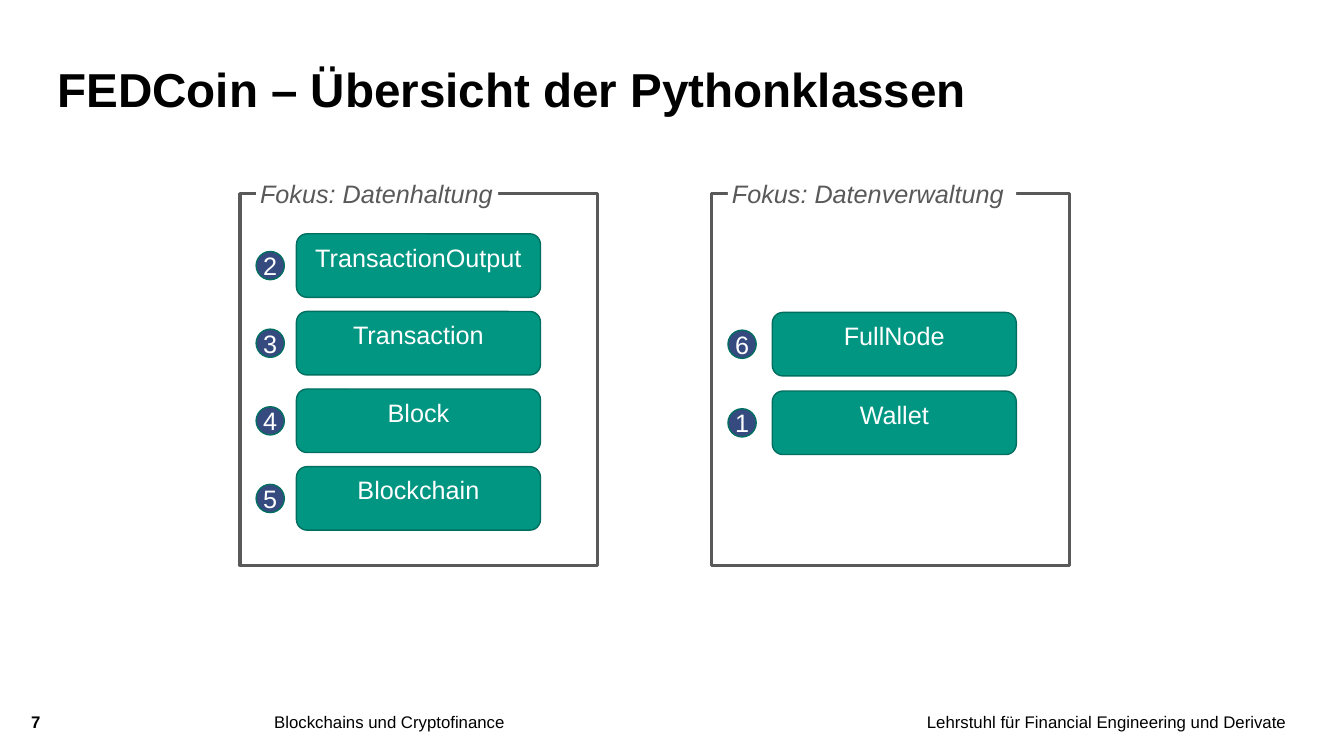
from pptx import Presentation
from pptx.dml.color import RGBColor as Rgb
from pptx.enum.shapes import MSO_SHAPE as Shape
from pptx.enum.text import MSO_ANCHOR as Anchor, MSO_AUTO_SIZE as Fit, PP_ALIGN as Align
from pptx.util import Inches, Pt

HUES = {
    "black": "000000", "white": "FFFFFF", "gray": "595959",
    "green": "009682", "edge": "006F60", "blue": "354B7F",
}
FRAME_W, FRAME_H, FRAME_TOP = 3.55, 3.69, 1.92
BOX_W, BOX_H = 2.42, 0.63
DOT = 0.28
INSET = 0.16  # from the frame's left side to its label and badges
FOOT_TOP, FOOT_H = 7.06, 0.4


def hue(name):
    return Rgb.from_string(HUES[name])


def write(shape, text, size=18, color="black", bold=False, italic=False,
          align=Align.LEFT, anchor=Anchor.TOP, pad=(0, 0), wrap=True, lead=None):
    """Put one formatted paragraph into a shape; pad is (sides, top and bottom)."""
    frame = shape.text_frame
    frame.auto_size = Fit.NONE
    frame.word_wrap = wrap
    frame.vertical_anchor = anchor
    frame.margin_left = frame.margin_right = Inches(pad[0])
    frame.margin_top = frame.margin_bottom = Inches(pad[1])
    para = frame.paragraphs[0]
    para.alignment = align
    if lead:
        para.line_spacing = lead
    run = para.add_run()
    run.text = text
    font = run.font
    font.name, font.size = "Arial", Pt(size)
    font.bold, font.italic = bold, italic
    font.color.rgb = hue(color)


def draw(slide, kind, left, top, width, height, fill=None, line=None, weight=1):
    """Add a flat preset shape."""
    shape = slide.shapes.add_shape(
        kind, Inches(left), Inches(top), Inches(width), Inches(height))
    shape.shadow.inherit = False
    if fill:
        shape.fill.solid()
        shape.fill.fore_color.rgb = hue(fill)
    else:
        shape.fill.background()
    if line:
        shape.line.color.rgb = hue(line)
        shape.line.width = Pt(weight)
    else:
        shape.line.fill.background()
    return shape


def group(slide, left, label, label_w, box_left, first, pitch, items):
    """Framed column of numbered classes with a label set into the top line."""
    draw(slide, Shape.RECTANGLE, left, FRAME_TOP, FRAME_W, FRAME_H,
         line="gray", weight=2.25)
    tag = draw(slide, Shape.RECTANGLE, left + INSET, FRAME_TOP - 0.19,
               label_w, 0.38, fill="white")
    write(tag, label, color="gray", italic=True, pad=(0.04, 0.04))
    for row, (number, name) in enumerate(items):
        top = first + row * pitch
        box = draw(slide, Shape.ROUNDED_RECTANGLE, box_left, top, BOX_W, BOX_H,
                   fill="green", line="edge")
        write(box, name, color="white", align=Align.CENTER, pad=(0.1, 0.05))
        badge = draw(slide, Shape.OVAL, left + INSET, top + (BOX_H - DOT) / 2,
                     DOT, DOT, fill="blue", line="edge")
        write(badge, number, color="white", align=Align.CENTER,
              anchor=Anchor.MIDDLE, wrap=False)


def foot(slide, left, width, text, **style):
    """Footer text on the common baseline."""
    box = slide.shapes.add_textbox(
        Inches(left), Inches(FOOT_TOP), Inches(width), Inches(FOOT_H))
    write(box, text, size=12, **style)


def main():
    deck = Presentation()
    deck.slide_width, deck.slide_height = Inches(13.33), Inches(7.5)
    slide = deck.slides.add_slide(deck.slide_layouts[5])

    # Title
    title = slide.shapes.title
    title.left, title.top = Inches(0.57), Inches(0.48)
    title.width, title.height = Inches(10.04), Inches(0.69)
    write(title, "FEDCoin – Übersicht der Pythonklassen", size=34, bold=True,
          anchor=Anchor.BOTTOM, lead=0.9)

    # Class groups
    group(slide, 2.38, "Fokus: Datenhaltung", 2.4, 2.94, 2.32, 0.77,
          [("2", "TransactionOutput"), ("3", "Transaction"),
           ("4", "Block"), ("5", "Blockchain")])
    group(slide, 7.06, "Fokus: Datenverwaltung", 2.86, 7.66, 3.1, 0.78,
          [("6", "FullNode"), ("1", "Wallet")])

    # Footer
    foot(slide, 0.31, 0.48, "7", bold=True)
    foot(slide, 2.72, 5.44, "Blockchains und Cryptofinance")
    foot(slide, 8.25, 4.51, "Lehrstuhl für Financial Engineering und Derivate",
         align=Align.RIGHT)

    deck.save("out.pptx")


if __name__ == "__main__":
    main()
